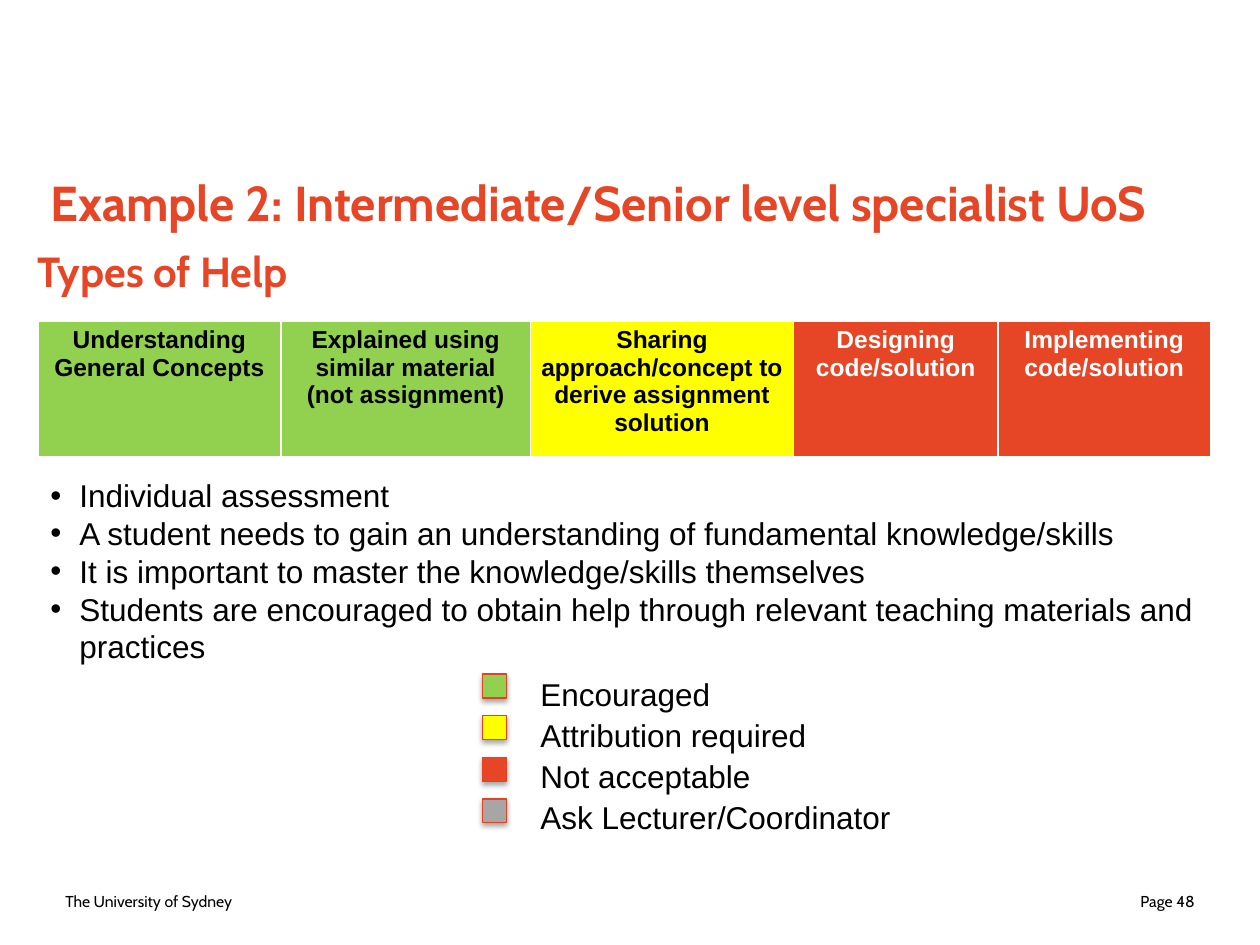
from lxml import etree
from pptx import Presentation
from pptx.dml.color import RGBColor
from pptx.enum.shapes import MSO_SHAPE as SHAPE
from pptx.enum.text import MSO_ANCHOR as ANCHOR, MSO_AUTO_SIZE as AUTO, PP_ALIGN as ALIGN
from pptx.oxml import parse_xml
from pptx.oxml.ns import nsdecls, qn
from pptx.util import Inches, Pt

BLACK = RGBColor(0x00, 0x00, 0x00)
WHITE = RGBColor(0xFF, 0xFF, 0xFF)
RED = RGBColor(0xE6, 0x46, 0x26)
OUTLINE = RGBColor(0xE6, 0x41, 0x20)
GREEN = RGBColor(0x92, 0xD0, 0x50)
YELLOW = RGBColor(0xFF, 0xFF, 0x00)
GREY = RGBColor(0xA6, 0xA6, 0xA6)


def style(p, size, name="Arial", color=BLACK, bold=False, align=ALIGN.LEFT):
    p.alignment = align
    for r in p.runs:
        r.font.size, r.font.name, r.font.bold = Pt(size), name, bold
        r.font.color.rgb = color


def add_text(x, y, w, h, text, anchor=ANCHOR.TOP):
    tf = s.shapes.add_textbox(Inches(x), Inches(y), Inches(w), Inches(h)).text_frame
    tf.word_wrap = True
    tf.vertical_anchor = anchor
    tf.text = text
    return tf


prs = Presentation()
prs.slide_width, prs.slide_height = Inches(10), Inches(7.5)
s = prs.slides.add_slide(prs.slide_layouts[1])

# Title and subtitle
title = s.shapes.title
title.left, title.top, title.width, title.height = map(Inches, (0.3, 1.34, 9.22, 0.53))
tf = title.text_frame
tf.text = "Example 2: Intermediate/Senior level specialist UoS"
tf.auto_size = AUTO.NONE
tf.vertical_anchor = ANCHOR.MIDDLE
style(tf.paragraphs[0], 28, "Cabin", RED, True)

tf = add_text(0.3, 1.95, 9.22, 0.53, "Types of Help")
tf.margin_left = tf.margin_top = tf.margin_right = tf.margin_bottom = 0
style(tf.paragraphs[0], 24, "Cabin", RED, True)

# Help types, coloured by how acceptable they are
help_types = [
    ("Understanding General Concepts", 1.93, GREEN, BLACK),
    ("Explained using similar material (not assignment)", 1.98, GREEN, BLACK),
    ("Sharing approach/concept to derive assignment solution", 2.09, YELLOW, BLACK),
    ("Designing code/solution", 1.62, RED, WHITE),
    ("Implementing code/solution", 1.69, RED, WHITE),
]
table = s.shapes.add_table(1, len(help_types), Inches(0.3), Inches(2.55),
                           Inches(9.3), Inches(1.09)).table
for i, (text, width, fill, color) in enumerate(help_types):
    table.columns[i].width = Inches(width)
    cell = table.cell(0, i)
    cell.text = text
    cell.margin_left = cell.margin_right = Inches(0.07)
    cell.margin_top = cell.margin_bottom = Inches(0.04)
    style(cell.text_frame.paragraphs[0], 14, color=color, bold=True, align=ALIGN.CENTER)
    tc_pr = cell._tc.get_or_add_tcPr()
    for side, points in (("L", 1), ("R", 1), ("T", 1), ("B", 3)):
        tc_pr.append(parse_xml(
            f'<a:ln{side} {nsdecls("a")} w="{Pt(points)}"><a:solidFill>'
            f'<a:srgbClr val="{WHITE}"/></a:solidFill></a:ln{side}>'))
    cell.fill.solid()
    cell.fill.fore_color.rgb = fill

# Bulleted explanation
body = s.placeholders[1]
body.left, body.top, body.width, body.height = map(Inches, (0.3, 3.73, 9.39, 1.62))
tf = body.text_frame
tf.text = "\n".join([
    "Individual assessment",
    "A student needs to gain an understanding of fundamental knowledge/skills",
    "It is important to master the knowledge/skills themselves",
    "Students are encouraged to obtain help through relevant teaching materials and practices",
])
tf.auto_size = AUTO.NONE
for p in tf.paragraphs:
    p_pr = p._p.get_or_add_pPr()
    p_pr.set("marL", str(Inches(0.23)))
    p_pr.set("indent", str(-Inches(0.23)))
    etree.SubElement(p_pr, qn("a:buFont"), typeface="Arial")
    etree.SubElement(p_pr, qn("a:buChar"), char="•")
    p.space_before = Pt(0)
    style(p, 18)

# Colour key
key = [("Encouraged", GREEN), ("Attribution required", YELLOW),
       ("Not acceptable", RED), ("Ask Lecturer/Coordinator", GREY)]
for i, (text, fill) in enumerate(key):
    sp = s.shapes.add_shape(SHAPE.RECTANGLE, Inches(3.83), Inches(5.35 + 0.33 * i),
                            Inches(0.19), Inches(0.19))
    sp.fill.solid()
    sp.fill.fore_color.rgb = fill
    sp.line.color.rgb = OUTLINE
    sp.line.width = Pt(0.75)
    sp.shadow.inherit = False
    sp._element.spPr.find(qn("a:effectLst")).append(parse_xml(
        f'<a:outerShdw {nsdecls("a")} blurRad="{Pt(3.1)}" dist="{Pt(1.8)}" dir="5400000" '
        'rotWithShape="0"><a:srgbClr val="000000"><a:alpha val="35000"/></a:srgbClr></a:outerShdw>'))
    tf = add_text(4.19, 5.31 + 0.324 * i, 4.59, 0.4, text)
    style(tf.paragraphs[0], 18)

# Footer
for x, text, align in ((0.42, "The University of Sydney", ALIGN.LEFT),
                       (7.25, "Page 48", ALIGN.RIGHT)):
    tf = add_text(x, 6.95, 2.33, 0.4, text, ANCHOR.MIDDLE)
    style(tf.paragraphs[0], 9, "Cabin", align=align)

prs.save("out.pptx")
